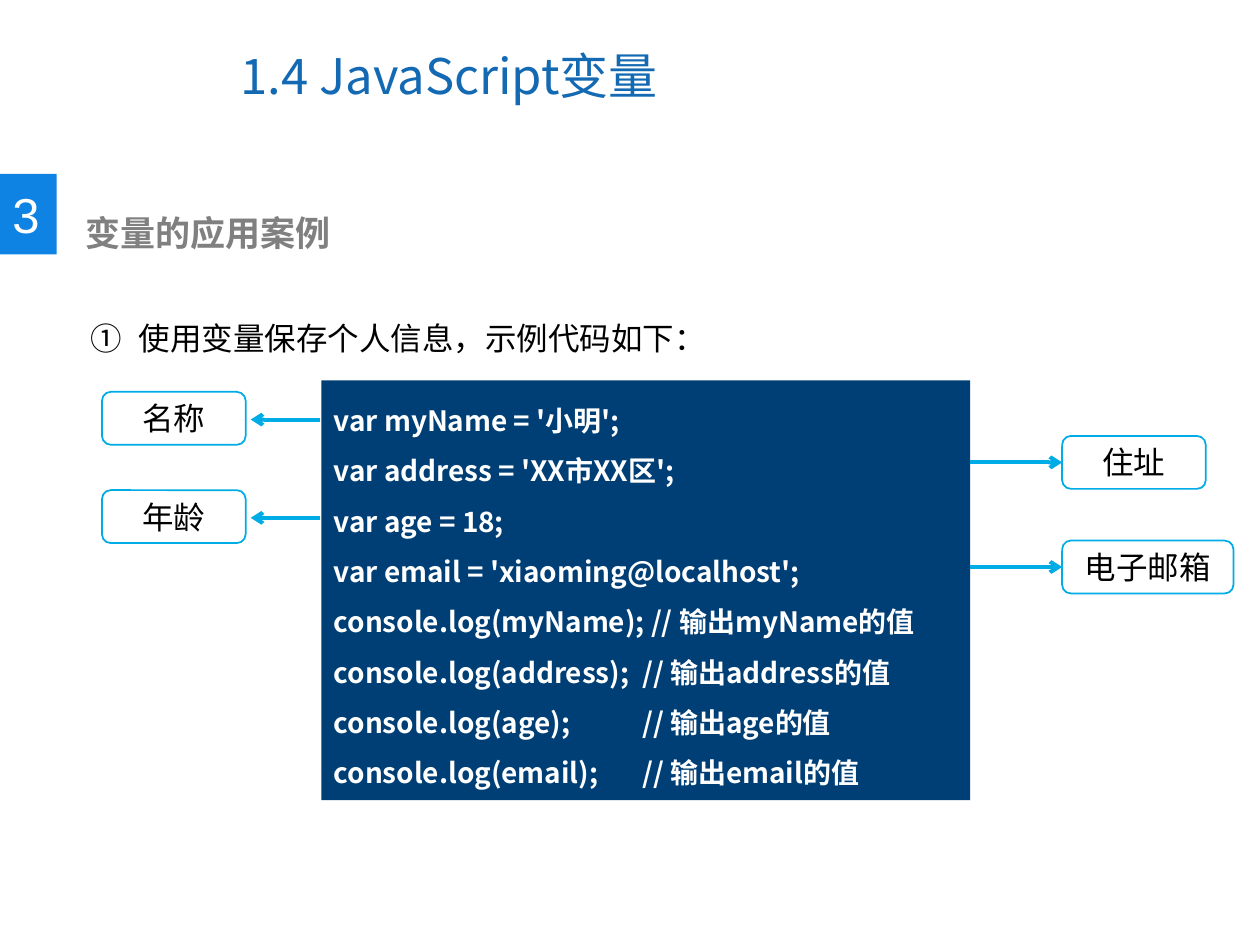
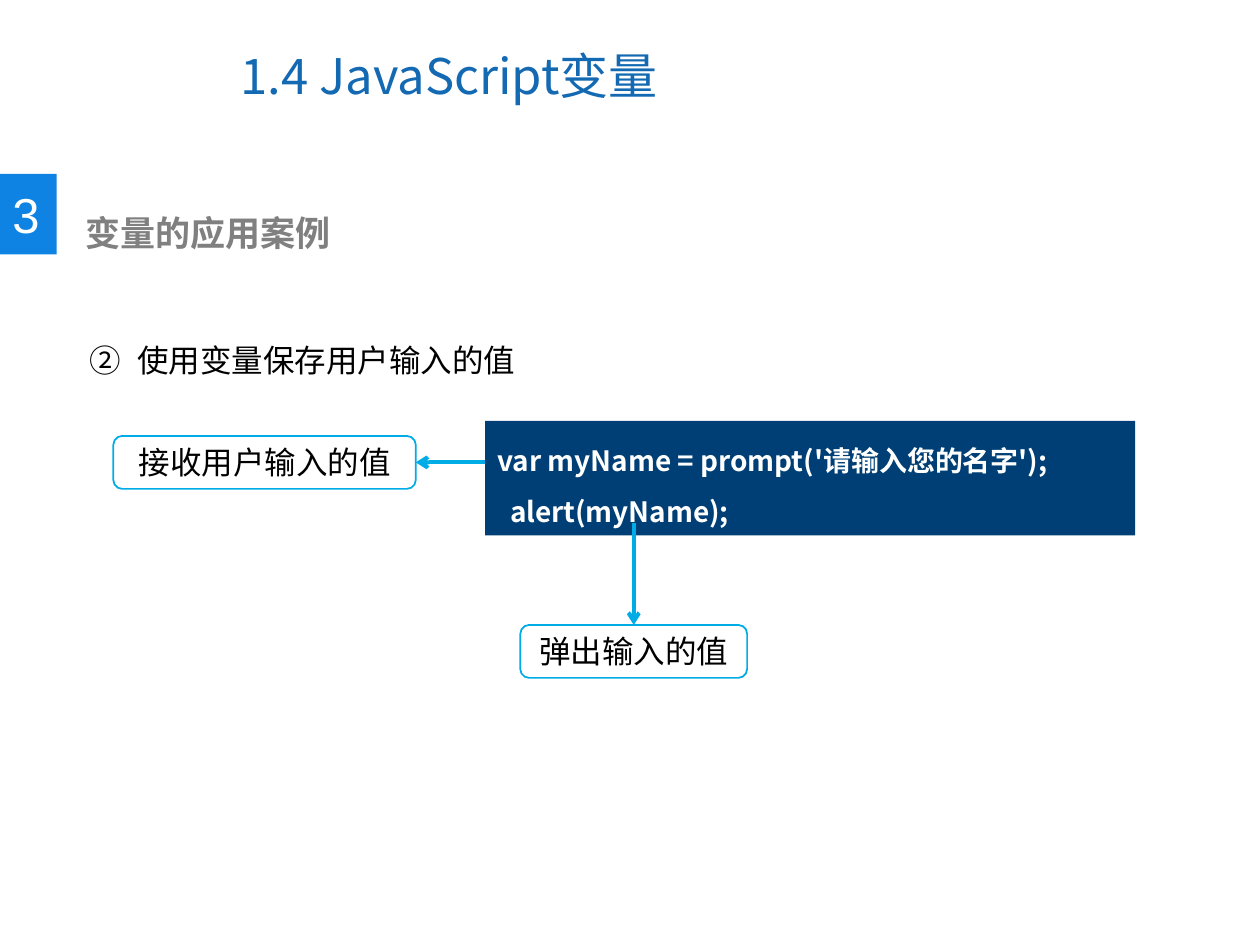
from lxml import etree
from pptx import Presentation
from pptx import util as u
from pptx.dml.color import RGBColor
from pptx.enum import shapes, text
from pptx.oxml.ns import qn

TITLE_BLUE = RGBColor(0x13, 0x69, 0xB2)
BADGE_BLUE = RGBColor(0x0F, 0x83, 0xE3)
CODE_BLUE = RGBColor(0x00, 0x3F, 0x75)
ACCENT = RGBColor(0x00, 0xAC, 0xE6)
GRAY = RGBColor(0x80, 0x80, 0x80)
BLACK = RGBColor(0, 0, 0)
WHITE = RGBColor(255, 255, 255)
LATIN_FONT = "Arial"
CHINESE_FONT = "Noto Sans CJK SC"

TITLE_TEXT = "1.4 JavaScript变量"
SECTION_NUMBER = "3"
SECTION_TEXT = "变量的应用案例"
COMMENT_TAB = 2.45
LABEL_HEIGHT = 0.42

PERSON_CODE = [
    "var myName = '小明';",
    "var address = 'XX市XX区';",
    "var age = 18;",
    "var email = 'xiaoming@localhost';",
    "console.log(myName); // 输出myName的值",
    "console.log(address);\t// 输出address的值",
    "console.log(age);\t// 输出age的值",
    "console.log(email);\t// 输出email的值",
]
PROMPT_CODE = ["var myName = prompt('请输入您的名字');", "alert(myName);"]


def apply(target, values):
    for name, value in values.items():
        setattr(target, name, value)


class Deck:
    title_font = {"size": u.Pt(28), "name": CHINESE_FONT, "bold": False}
    badge_font = {"size": u.Pt(28), "name": LATIN_FONT}
    section_font = {"size": u.Pt(20), "name": LATIN_FONT, "bold": True}
    body_font = {"size": u.Pt(18), "name": LATIN_FONT}
    code_font = {"size": u.Pt(16), "name": CHINESE_FONT, "bold": True}

    def __init__(self):
        self.presentation = Presentation()
        apply(self.presentation, {"slide_width": u.Inches(10), "slide_height": u.Inches(7.5)})
        self.slide = None

    def start_slide(self):
        self.slide = self.presentation.slides.add_slide(self.presentation.slide_layouts[1])
        title = self.slide.shapes.title
        self.place(title, 1.81, 0.17, 5.16, 0.85)
        self.fill_text(title, [TITLE_TEXT], self.title_font, TITLE_BLUE,
                       anchor=text.MSO_ANCHOR.MIDDLE)
        badge = self.box(0, 1.38, 0.45, 0.64, BADGE_BLUE)
        self.fill_text(badge, [SECTION_NUMBER], self.badge_font, WHITE,
                       anchor=text.MSO_ANCHOR.MIDDLE)
        badge.text_frame.margin_right = 0
        section = self.slide.shapes.add_textbox(*map(u.Inches, (0.58, 1.63, 5.03, 0.44)))
        self.fill_text(section, [SECTION_TEXT], self.section_font, GRAY)

    def place(self, shape, *bounds):
        apply(shape, dict(zip(("left", "top", "width", "height"), map(u.Inches, bounds))))

    def fill_text(self, shape, lines, font, color, align=text.PP_ALIGN.LEFT,
                  anchor=text.MSO_ANCHOR.TOP, spacing=1):
        frame = shape.text_frame
        apply(frame, {"word_wrap": True, "auto_size": text.MSO_AUTO_SIZE.NONE,
                      "vertical_anchor": anchor})
        for index, line in enumerate(lines):
            paragraph = frame.add_paragraph() if index else frame.paragraphs[0]
            apply(paragraph, {"alignment": align, "line_spacing": spacing,
                              "space_before": u.Pt(0)})
            run = paragraph.add_run()
            run.text = line
            apply(run.font, font)
            run.font.color.rgb = color
            etree.SubElement(run.font._element, qn("a:ea"), typeface=CHINESE_FONT)
        return frame.paragraphs

    def box(self, left, top, width, height, fill, kind=shapes.MSO_SHAPE.RECTANGLE):
        shape = self.slide.shapes.add_shape(
            kind, *map(u.Inches, (left, top, width, height)))
        shape.shadow.inherit = False
        shape.fill.solid()
        shape.fill.fore_color.rgb = fill
        shape.line.fill.background()
        return shape

    def numbered_item(self, left, top, line, number):
        body = self.slide.placeholders[1]
        self.place(body, left, top, 8.65, 0.71)
        paragraph = self.fill_text(body, [line], self.body_font, BLACK, spacing=2)[0]
        properties = paragraph._p.get_or_add_pPr()
        hang = u.Inches(0.38)
        properties.set("marL", str(hang))
        properties.set("indent", str(-hang))
        etree.SubElement(properties, qn("a:buAutoNum"), type="circleNumDbPlain",
                         startAt=str(number))

    def code(self, left, top, width, height, lines):
        shape = self.box(left, top, width, height, CODE_BLUE)
        paragraphs = self.fill_text(shape, lines, self.code_font, WHITE, spacing=1.5)
        for paragraph, line in zip(paragraphs, lines):
            if "\t" in line:
                tabs = etree.SubElement(paragraph._p.get_or_add_pPr(), qn("a:tabLst"))
                etree.SubElement(tabs, qn("a:tab"), pos=str(u.Inches(COMMENT_TAB)), algn="l")
        return paragraphs

    def label(self, left, top, width, line):
        shape = self.box(left, top, width, LABEL_HEIGHT, WHITE,
                         shapes.MSO_SHAPE.ROUNDED_RECTANGLE)
        shape.line.color.rgb = ACCENT
        shape.line.width = u.Pt(1)
        self.fill_text(shape, [line], self.body_font, BLACK, text.PP_ALIGN.CENTER,
                       text.MSO_ANCHOR.MIDDLE)
        return shape

    def arrow(self, start, end, target=None, side=None):
        connector = self.slide.shapes.add_connector(
            shapes.MSO_CONNECTOR.STRAIGHT, *map(u.Inches, start + end))
        if target is not None:
            connector.end_connect(target, side)
        connector.line.color.rgb = ACCENT
        connector.line.width = u.Pt(2.25)
        etree.SubElement(connector.line._get_or_add_ln(), qn("a:tailEnd"), type="arrow")
        etree.SubElement(connector._element.spPr, qn("a:effectLst"))


def personal_information(deck):
    deck.start_slide()
    deck.numbered_item(0.62, 2.18, "使用变量保存个人信息，示例代码如下：", 1)
    deck.code(2.55, 3.02, 5.15, 3.33, PERSON_CODE)
    for top, line in ((3.11, "名称"), (3.89, "年龄")):
        middle = top + LABEL_HEIGHT / 2 + 0.01
        deck.label(0.81, top, 1.14, line)
        deck.arrow((2.54, middle), (1.99, middle))
    for top, width, line in ((3.46, 1.14, "住址"), (4.29, 1.36, "电子邮箱")):
        middle = top + LABEL_HEIGHT / 2
        label = deck.label(8.43, top, width, line)
        deck.arrow((7.7, middle), (8.43, middle), label, 1)


def user_input(deck):
    deck.start_slide()
    deck.numbered_item(0.61, 2.36, "使用变量保存用户输入的值", 2)
    paragraphs = deck.code(3.85, 3.34, 5.16, 0.91, PROMPT_CODE)
    paragraphs[1]._p.get_or_add_pPr().set("marL", str(u.Inches(0.1)))
    received = deck.label(0.9, 3.46, 2.4, "接收用户输入的值")
    deck.arrow((3.85, 3.67), (3.3, 3.67), received, 3)
    shown = deck.label(4.13, 4.96, 1.8, "弹出输入的值")
    deck.arrow((5.03, 4.15), (5.03, 4.96), shown, 0)


def main():
    deck = Deck()
    personal_information(deck)
    user_input(deck)
    deck.presentation.save("out.pptx")


if __name__ == "__main__":
    main()
